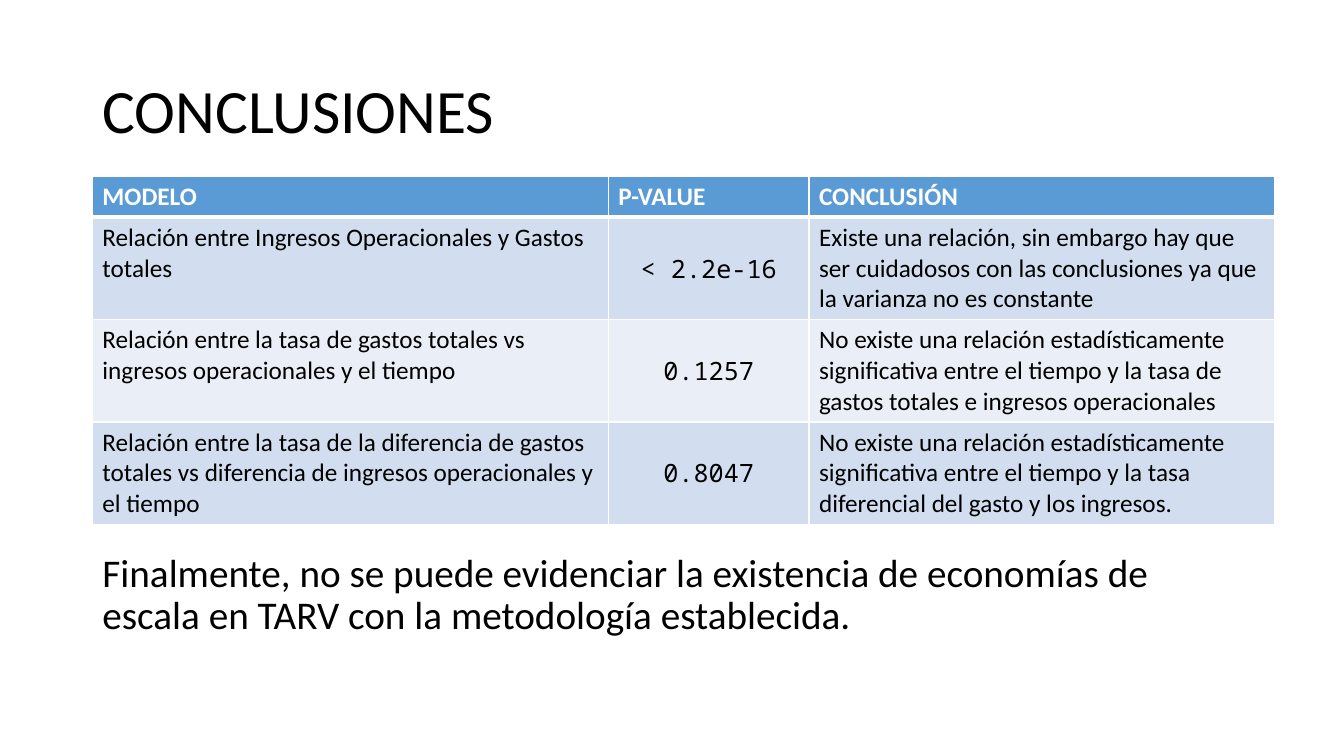
from lxml.etree import SubElement
from pptx import Presentation
from pptx.dml.color import RGBColor
from pptx.enum.text import MSO_ANCHOR, MSO_AUTO_SIZE, PP_ALIGN
from pptx.oxml.ns import qn
from pptx.util import Pt

MARGIN_LEFT = 66
TEXT_WIDTH = 828
COLUMN_WIDTHS = (368.6, 143.3, 332.6)
HEADER_HEIGHT = 29
ROW_HEIGHT = 73
HEADINGS = ("MODELO", "P-VALUE", "CONCLUSIÓN")
RESULTS = (
    ("Relación entre Ingresos Operacionales y Gastos totales",
     "< 2.2e-16",
     "Existe una relación, sin embargo hay que ser cuidadosos con las "
     "conclusiones ya que la varianza no es constante"),
    ("Relación entre la tasa de gastos totales vs ingresos operacionales y el tiempo",
     "0.1257",
     "No existe una relación estadísticamente significativa entre el tiempo "
     "y la tasa de gastos totales e ingresos operacionales"),
    ("Relación entre la tasa de la diferencia de gastos totales vs diferencia "
     "de ingresos operacionales y el tiempo",
     "0.8047",
     "No existe una relación estadísticamente significativa entre el tiempo "
     "y la tasa diferencial del gasto y los ingresos."),
)
CLOSING = ("Finalmente, no se puede evidenciar la existencia de economías "
           "de escala en TARV con la metodología establecida.")


def color(value):
    """Turn a hex string into a colour."""
    return RGBColor.from_string(value)


def write_text(text_frame, text, size=18, font_name="Calibri", text_color="000000",
               bold=False, align=PP_ALIGN.LEFT, line_spacing=1.0):
    """Write one formatted paragraph without a bullet."""
    text_frame.text = text
    paragraph = text_frame.paragraphs[0]
    properties = paragraph._p.get_or_add_pPr()
    properties.set("marL", "0")
    properties.set("indent", "0")
    SubElement(properties, qn("a:buNone"))
    paragraph.alignment = align
    paragraph.line_spacing = line_spacing
    paragraph.space_before = Pt(0)
    font = paragraph.runs[0].font
    font.size, font.name, font.bold = Pt(size), font_name, bold
    font.color.rgb = color(text_color)


class ConclusionSlide:
    """Hold the style and the current slide."""

    header_fill = "5B9BD5"
    band_fills = ("D2DEEF", "EAEFF7")
    border_color = "FFFFFF"
    thin_border = 1
    header_border = 3
    header_format = {"text_color": "FFFFFF", "bold": True}
    value_format = {"font_name": "Noto Sans Mono", "align": PP_ALIGN.CENTER}

    def __init__(self, presentation):
        """Add a slide with title and body placeholders."""
        self.slide = presentation.slides.add_slide(presentation.slide_layouts[1])

    def placeholder(self, index, text, top, height, size, anchor):
        """Move a placeholder and fill it with text."""
        shape = self.slide.placeholders[index]
        shape.left, shape.top = Pt(MARGIN_LEFT), Pt(top)
        shape.width, shape.height = Pt(TEXT_WIDTH), Pt(height)
        text_frame = shape.text_frame
        text_frame.word_wrap = True
        text_frame.auto_size = MSO_AUTO_SIZE.NONE
        text_frame.vertical_anchor = anchor
        write_text(text_frame, text, size=size, line_spacing=0.9)

    def title(self, text, top, height):
        """Fill the title placeholder."""
        self.placeholder(0, text, top, height, size=44, anchor=MSO_ANCHOR.MIDDLE)

    def body(self, text, top, height):
        """Fill the body placeholder."""
        self.placeholder(1, text, top, height, size=28, anchor=MSO_ANCHOR.TOP)

    def border(self, cell, side, width):
        """Draw one solid cell border."""
        line = SubElement(cell._tc.get_or_add_tcPr(), qn(f"a:ln{side}"), w=str(Pt(width)))
        fill = SubElement(line, qn("a:solidFill"))
        SubElement(fill, qn("a:srgbClr"), val=self.border_color)

    def cell(self, cell, text, fill, thick_side=None, anchor=MSO_ANCHOR.TOP, **text_format):
        """Fill one table cell and draw its borders."""
        for side in "LRTB":
            width = self.header_border if side == thick_side else self.thin_border
            self.border(cell, side, width)
        cell.fill.solid()
        cell.fill.fore_color.rgb = color(fill)
        cell.vertical_anchor = anchor
        write_text(cell.text_frame, text, **text_format)

    def header_row(self, table):
        """Fill the header row."""
        table.rows[0].height = Pt(HEADER_HEIGHT)
        for column, heading in enumerate(HEADINGS):
            self.cell(table.cell(0, column), heading, self.header_fill,
                      thick_side="B", **self.header_format)

    def result_row(self, table, row, result):
        """Fill one banded row with a model, its value and its conclusion."""
        model, value, conclusion = result
        style = {"fill": self.band_fills[(row - 1) % len(self.band_fills)],
                 "thick_side": "T" if row == 1 else None}
        table.rows[row].height = Pt(ROW_HEIGHT)
        self.cell(table.cell(row, 0), model, **style)
        self.cell(table.cell(row, 1), value, anchor=MSO_ANCHOR.MIDDLE,
                  **style, **self.value_format)
        self.cell(table.cell(row, 2), conclusion, **style)

    def table(self, top):
        """Add the table of models, values and conclusions."""
        height = HEADER_HEIGHT + ROW_HEIGHT * len(RESULTS)
        table = self.slide.shapes.add_table(
            len(RESULTS) + 1, len(HEADINGS), Pt(MARGIN_LEFT), Pt(top),
            Pt(sum(COLUMN_WIDTHS)), Pt(height)).table
        for column, width in zip(table.columns, COLUMN_WIDTHS):
            column.width = Pt(width)
        self.header_row(table)
        for row, result in enumerate(RESULTS, start=1):
            self.result_row(table, row, result)


def main():
    """Build and save the conclusions slide."""
    presentation = Presentation()
    presentation.slide_width, presentation.slide_height = Pt(960), Pt(540)
    conclusions = ConclusionSlide(presentation)
    conclusions.title("CONCLUSIONES", top=28.8, height=104.4)
    conclusions.body(CLOSING, top=391.7, height=94.3)
    conclusions.table(top=126)
    presentation.save("out.pptx")


if __name__ == "__main__":
    main()
